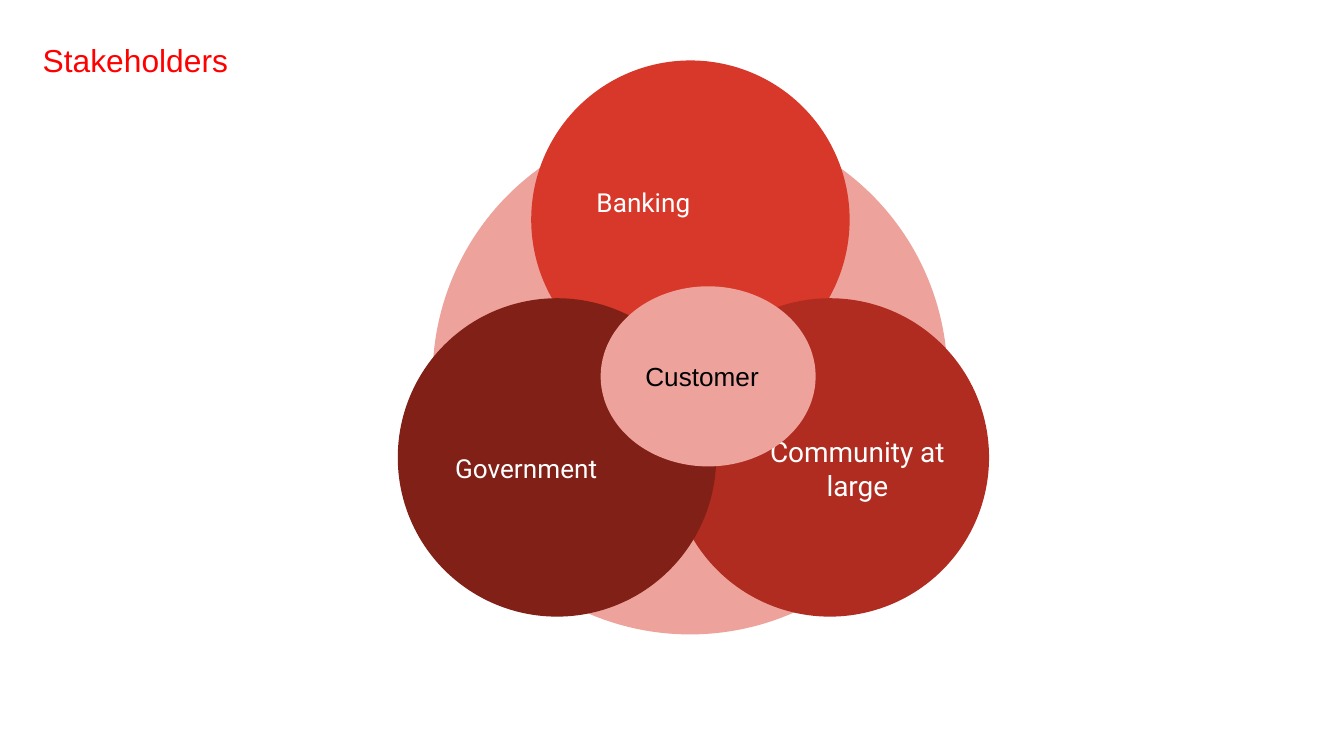
from pptx import Presentation
from pptx.dml.color import RGBColor
from pptx.enum import shapes, text
from pptx.util import Pt

WHITE = RGBColor(0xFF, 0xFF, 0xFF)
BLACK = RGBColor(0, 0, 0)
TITLE_RED = RGBColor(0xFF, 0, 0)
PINK = RGBColor(0xED, 0xA2, 0x9B)
RED = RGBColor(0xD8, 0x38, 0x29)
CRIMSON = RGBColor(0xB0, 0x2C, 0x20)
MAROON = RGBColor(0x80, 0x20, 0x17)

LEFT = text.PP_ALIGN.LEFT
CENTER = text.PP_ALIGN.CENTER
TOP = text.MSO_ANCHOR.TOP
MIDDLE = text.MSO_ANCHOR.MIDDLE

CIRCLE_SIZE = 170.6
LABEL_WIDTH, LABEL_HEIGHT = 118.1, 55.4
STAKEHOLDERS = [
    ("Banking", RED, (284.6, 32.4), (312.5, 80.6), 14, LEFT),
    ("Community at large", CRIMSON, (359.3, 159.8), (400.3, 223.2), 15, CENTER),
    ("Government ", MAROON, (213.1, 159.8), (224.6, 223.2), 14, CENTER),
]


def add_ellipse(page, left, top, width, height, color):
    ellipse = page.shapes.add_shape(
        shapes.MSO_SHAPE.OVAL, Pt(left), Pt(top), Pt(width), Pt(height))
    ellipse.shadow.inherit = False
    ellipse.fill.solid()
    ellipse.fill.fore_color.rgb = color
    ellipse.line.fill.background()
    return ellipse


def write_text(shape, words, size, font, color, align=LEFT, anchor=MIDDLE):
    frame = shape.text_frame
    frame.text = words
    frame.word_wrap = True
    frame.vertical_anchor = anchor
    frame.margin_left = frame.margin_right = Pt(7.2)
    frame.margin_top = frame.margin_bottom = Pt(7.2)
    para = frame.paragraphs[0]
    para.alignment = align
    for span in para.runs:
        span.font.size = Pt(size)
        span.font.name = font
        span.font.color.rgb = color


def add_label(page, left, top, width, height, *style):
    box = page.shapes.add_textbox(Pt(left), Pt(top), Pt(width), Pt(height))
    write_text(box, *style)


def add_stakeholder(page, name, color, circle_at, label_at, size, align):
    add_ellipse(page, *circle_at, CIRCLE_SIZE, CIRCLE_SIZE, color)
    add_label(page, *label_at, LABEL_WIDTH, LABEL_HEIGHT,
              name, size, "Roboto", WHITE, align)


def main():
    deck = Presentation()
    deck.slide_width, deck.slide_height = Pt(720), Pt(405)
    page = deck.slides.add_slide(deck.slide_layouts[6])
    add_ellipse(page, 231.8, 64.1, 275.8, 275.8, PINK)
    for stakeholder in STAKEHOLDERS:
        add_stakeholder(page, *stakeholder)
    customer = add_ellipse(page, 321.8, 153.4, 115.2, 96.5, PINK)
    write_text(customer, "Customer", 14, "Arial", BLACK)
    add_label(page, 15.8, 14.4, 197.3, 58.3,
              "Stakeholders", 17, "Arial", TITLE_RED, LEFT, TOP)
    deck.save("out.pptx")


main()
